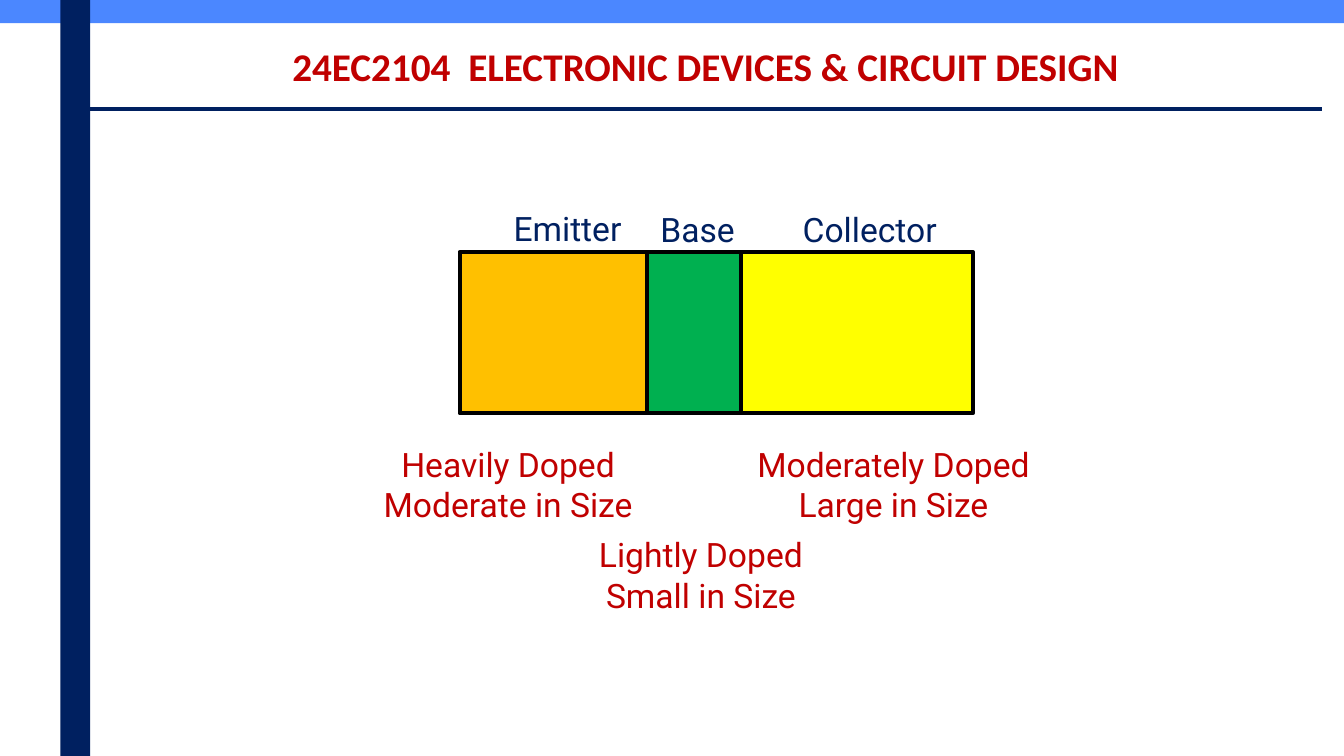
from dataclasses import dataclass

from lxml.etree import SubElement
from pptx import Presentation
from pptx.dml.color import RGBColor
from pptx.enum.shapes import MSO_CONNECTOR, MSO_SHAPE
from pptx.enum.text import MSO_ANCHOR, PP_ALIGN
from pptx.oxml.ns import qn
from pptx.util import Inches, Pt


@dataclass(frozen=True)
class Theme:
    navy: str = "002060"
    blue: str = "4B87FF"
    red: str = "C00000"
    black: str = "000000"
    emitter: str = "FFC000"
    base: str = "00B050"
    collector: str = "FFFF00"
    title_font: str = "Calibri"
    body_font: str = "Roboto"
    title_size: int = 28
    body_size: int = 24
    line_width: int = 3


THEME = Theme()
WIDTH, HEIGHT = Inches(13.33), Inches(7.5)


def share(x, y):
    return round(WIDTH * x / 100), round(HEIGHT * y / 100)


def area(x, y, w, h):
    return *share(x, y), *share(w, h)


def write_text(sp, text, color=THEME.red, font=THEME.body_font,
               size=THEME.body_size, bold=False):
    tf = sp.text_frame
    tf.word_wrap = True
    tf.vertical_anchor = MSO_ANCHOR.TOP
    tf.margin_left = tf.margin_right = Inches(0.1)
    tf.margin_top = tf.margin_bottom = Inches(0.05)
    tf.text = text
    for p in tf.paragraphs:
        p.alignment = PP_ALIGN.CENTER
        p.line_spacing = 1.0
        p.space_before = Pt(0)
        for r in p.runs:
            r.font.name = font
            r.font.size = Pt(size)
            r.font.bold = bold
            r.font.color.rgb = RGBColor.from_string(color)


def add_title(s, text, box):
    sp = s.shapes.title
    sp.left, sp.top, sp.width, sp.height = area(*box)
    write_text(sp, text, font=THEME.title_font, size=THEME.title_size, bold=True)


def add_text(s, text, box, **fmt):
    write_text(s.shapes.add_textbox(*area(*box)), text, **fmt)


def add_block(s, box, fill, line=None):
    sp = s.shapes.add_shape(MSO_SHAPE.RECTANGLE, *area(*box))
    sp.shadow.inherit = False
    sp.fill.solid()
    sp.fill.fore_color.rgb = RGBColor.from_string(fill)
    if line:
        sp.line.color.rgb = RGBColor.from_string(line)
        sp.line.width = Pt(THEME.line_width)
    else:
        sp.line.fill.background()


def add_rule(s, start, end, color):
    line = s.shapes.add_connector(MSO_CONNECTOR.STRAIGHT, *share(*start), *share(*end))
    line.line.color.rgb = RGBColor.from_string(color)
    line.line.width = Pt(THEME.line_width)
    SubElement(line._element.spPr, qn("a:effectLst"))


def add_transistor(s, left, top, height, regions):
    for width, fill in regions:
        add_block(s, (left, top, width, height), fill, THEME.black)
        left += width


def main():
    prs = Presentation()
    prs.slide_width, prs.slide_height = WIDTH, HEIGHT
    s = prs.slides.add_slide(prs.slide_layouts[5])

    add_rule(s, (6.5, 14.4), (98.35, 14.4), THEME.navy)
    add_title(s, "24EC2104  ELECTRONIC DEVICES & CIRCUIT DESIGN",
              (10.8, 4.93, 83.35, 7.6))
    add_block(s, (0, 0, 100, 3.07), THEME.blue)
    add_block(s, (4.5, 0, 2.2, 100), THEME.navy)

    add_transistor(s, 34.2, 33.33, 21.33, [
        (13.95, THEME.emitter), (6.98, THEME.base), (17.25, THEME.collector)])

    for name, x, y, w in [("Emitter", 36.3, 26.8, 11.85),
                          ("Base", 48.15, 26.93, 7.5),
                          ("Collector", 58.3, 26.93, 12.83)]:
        add_text(s, name, (x, y, w, 6.67), color=THEME.navy)

    for note, x, y, w in [("Heavily Doped\nModerate in Size", 27.45, 58, 20.7),
                          ("Lightly Doped\nSmall in Size", 41.8, 70, 20.7),
                          ("Moderately Doped\nLarge in Size", 55.15, 58, 22.65)]:
        add_text(s, note, (x, y, w, 12.13))

    prs.save("out.pptx")


if __name__ == "__main__":
    main()
